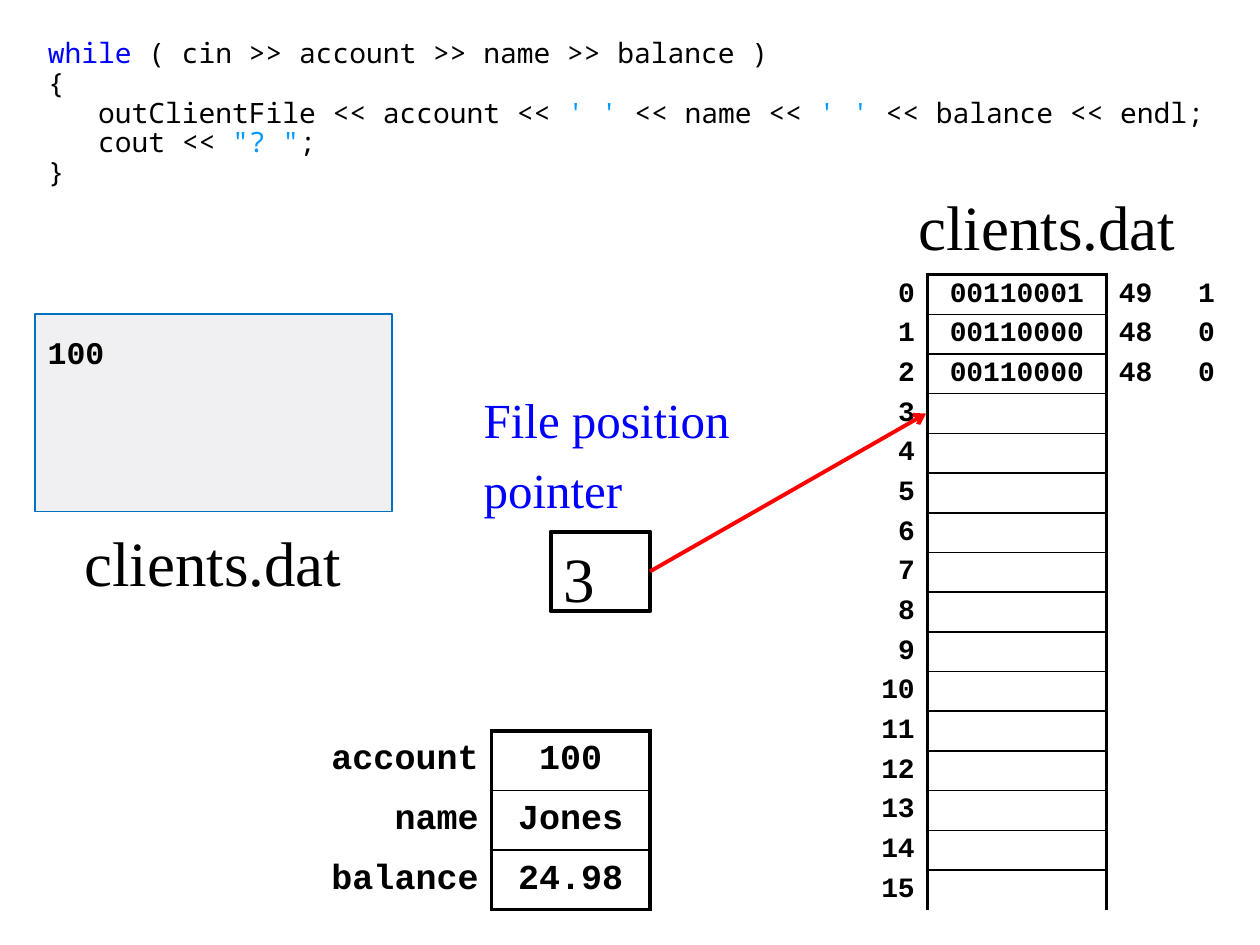
from lxml.etree import SubElement
from pptx import Presentation
from pptx.dml.color import RGBColor
from pptx.enum.shapes import MSO_CONNECTOR, MSO_SHAPE
from pptx.enum.text import MSO_ANCHOR as Anchor, MSO_AUTO_SIZE, PP_ALIGN as Align
from pptx.oxml.ns import qn
from pptx.util import Inches, Pt

BLACK, BLUE, LITERAL, RED = "000000", "0000FF", "0099FF", "FF0000"
SERIF, COURIER, CODE_FONT = "Times New Roman", "Courier New", "Noto Sans Mono"
THICK, THIN = 2.25, 1

CODE = [
    [("while", BLUE), (" ( cin >> account >> name >> balance )", BLACK)],
    [("{", BLACK)],
    [("   outClientFile << account << ", BLACK), ("' '", LITERAL),
     (" << name << ", BLACK), ("' '", LITERAL), (" << balance << endl;", BLACK)],
    [("   cout << ", BLACK), ('"? "', LITERAL), (";", BLACK)],
    [("}", BLACK)],
]
RECORD = [("account", "100"), ("name", "Jones"), ("balance", "24.98")]
STORED_BYTES = [("00110001", "49", "1"), ("00110000", "48", "0"), ("00110000", "48", "0")]
BYTE_COUNT = 16


def color(value):
    return RGBColor.from_string(value)


def style_span(span, size, font, value, bold=False):
    span.font.size, span.font.name, span.font.bold = Pt(size), font, bold
    span.font.color.rgb = color(value)


def write(frame, text, size, font, value=BLACK, bold=False, align=Align.LEFT, gap=0):
    frame.text = text
    for index, para in enumerate(frame.paragraphs):
        para.alignment = align
        para.space_before = Pt(gap if index else 0)
        for span in para.runs:
            style_span(span, size, font, value, bold)


def add_code(page, left, top, width, height):
    box = page.placeholders[1]
    box.left, box.top, box.width, box.height = map(Inches, (left, top, width, height))
    frame = box.text_frame
    frame.auto_size = MSO_AUTO_SIZE.NONE
    frame.margin_top = frame.margin_bottom = Inches(0.04)
    for index, parts in enumerate(CODE):
        para = frame.add_paragraph() if index else frame.paragraphs[0]
        para.space_before, para.line_spacing = Pt(0), 0.88
        properties = para._p.get_or_add_pPr()
        properties.set("marL", "0")
        properties.set("indent", "0")
        SubElement(properties, qn("a:buNone"))
        for text, value in parts:
            span = para.add_run()
            span.text = text
            style_span(span, 16, CODE_FONT, value)


def add_label(page, text, left, top, width, height, size=36, value=BLACK,
              align=Align.CENTER, wrap=False):
    box = page.shapes.add_textbox(*map(Inches, (left, top, width, height)))
    frame = box.text_frame
    frame.word_wrap = wrap
    frame.vertical_anchor = Anchor.MIDDLE
    write(frame, text, size, SERIF, value, align=align, gap=6.5)
    return box


def add_box(page, left, top, width, height, line, weight, fill=None):
    box = page.shapes.add_shape(MSO_SHAPE.RECTANGLE, *map(Inches, (left, top, width, height)))
    box.shadow.inherit = False
    box.line.color.rgb, box.line.width = color(line), Pt(weight)
    if fill:
        box.fill.solid()
        box.fill.fore_color.rgb = color(fill)
    else:
        box.fill.background()
    return box


def set_borders(cell, **weights):
    properties = cell._tc.get_or_add_tcPr()
    for side in "LRTB":
        weight = weights.get(side, 0)
        line = SubElement(properties, qn(f"a:ln{side}"), w=str(Pt(weight)))
        if weight:
            SubElement(SubElement(line, qn("a:solidFill")), qn("a:srgbClr"), val=BLACK)
        else:
            SubElement(line, qn("a:noFill"))


def add_memory_table(page, rows, left, top, widths, height, size, margin, bottom):
    """Labels in column 0 and framed values in column 1; further columns are notes."""
    aligns = [Align.RIGHT, Align.CENTER, Align.LEFT, Align.CENTER]
    count = len(rows)
    table = page.shapes.add_table(count, len(widths), Inches(left), Inches(top),
                                  Inches(sum(widths)), Inches(height)).table
    table.first_row = table.horz_banding = False
    for column, width in zip(table.columns, widths):
        column.width = Inches(width)
    for r, values in enumerate(rows):
        table.rows[r].height = Inches(height / count)
        for c, text in enumerate(values):
            cell = table.cell(r, c)
            cell.vertical_anchor = Anchor.MIDDLE
            cell.margin_top = cell.margin_bottom = Inches(margin)
            borders = {0: {"R": THICK}, 2: {"L": THICK}}.get(c, {})
            if c == 1:
                borders = {"L": THICK, "R": THICK, "T": THIN if r else THICK,
                           "B": THIN if r < count - 1 else bottom}
            set_borders(cell, **borders)
            cell.fill.background()
            if text:
                write(cell.text_frame, text, size, COURIER, bold=True, align=aligns[c])
            else:
                end = cell.text_frame.paragraphs[0]._p.get_or_add_endParaRPr()
                end.set("sz", str(size * 100))


def add_pointer(page, left, top, target):
    # Caption, current position and arrow to the byte it points at
    caption = add_label(page, "File position\npointer", left, top, 2.22, 1.26, 28, BLUE,
                        Align.LEFT, wrap=True)
    caption.text_frame.vertical_anchor = Anchor.TOP
    caption.text_frame.margin_top = Inches(0.13)
    box = add_box(page, left + 0.63, top + 1.26, 0.79, 0.63, BLACK, THICK)
    box.text_frame.margin_top = Inches(0.15)
    box.text_frame.vertical_anchor = Anchor.MIDDLE
    write(box.text_frame, "3", 36, SERIF)
    arrow = page.shapes.add_connector(MSO_CONNECTOR.STRAIGHT, box.left + box.width,
                                      box.top + box.height // 2, *map(Inches, target))
    arrow.begin_connect(box, 3)
    arrow.line.color.rgb, arrow.line.width = color(RED), Pt(THICK)
    SubElement(arrow.line._get_or_add_ln(), qn("a:tailEnd"), type="arrow")
    SubElement(arrow._element.spPr, qn("a:effectLst"))


def add_file_view(page, left, top, width, height):
    box = add_box(page, left, top, width, height, "0070C0", 1, "F0F0F2")
    frame = box.text_frame
    frame.vertical_anchor = Anchor.TOP
    frame.margin_top = Inches(0.15)
    write(frame, "100", 18, COURIER, bold=True)
    add_label(page, "clients.dat", left + 0.15, top + height, 2.52, 0.79)


def main():
    deck = Presentation()
    deck.slide_width, deck.slide_height = Inches(10), Inches(7.5)
    page = deck.slides.add_slide(deck.slide_layouts[1])
    title = page.shapes.title._element
    title.getparent().remove(title)

    add_code(page, 0.28, 0.28, 9.45, 1.42)

    # Record variables
    add_memory_table(page, RECORD, 2.48, 5.8, [1.42, 1.26], 1.42, 20, 0.05, THICK)

    # Bytes of the file
    top, height = 2.18, 5.04
    notes = STORED_BYTES + [("", "", "")] * (BYTE_COUNT - len(STORED_BYTES))
    rows = [(str(number), *note) for number, note in enumerate(notes)]
    add_memory_table(page, rows, 6.89, top, [0.47, 1.42, 0.63, 0.31], height, 16, 0.02, 0)
    add_label(page, "clients.dat", 7.05, 1.39, 2.52, 0.79)

    add_pointer(page, 3.74, 2.96, (7.35, top + 3.5 * height / BYTE_COUNT))
    add_file_view(page, 0.28, 2.49, 2.83, 1.57)
    deck.save("out.pptx")


if __name__ == "__main__":
    main()
